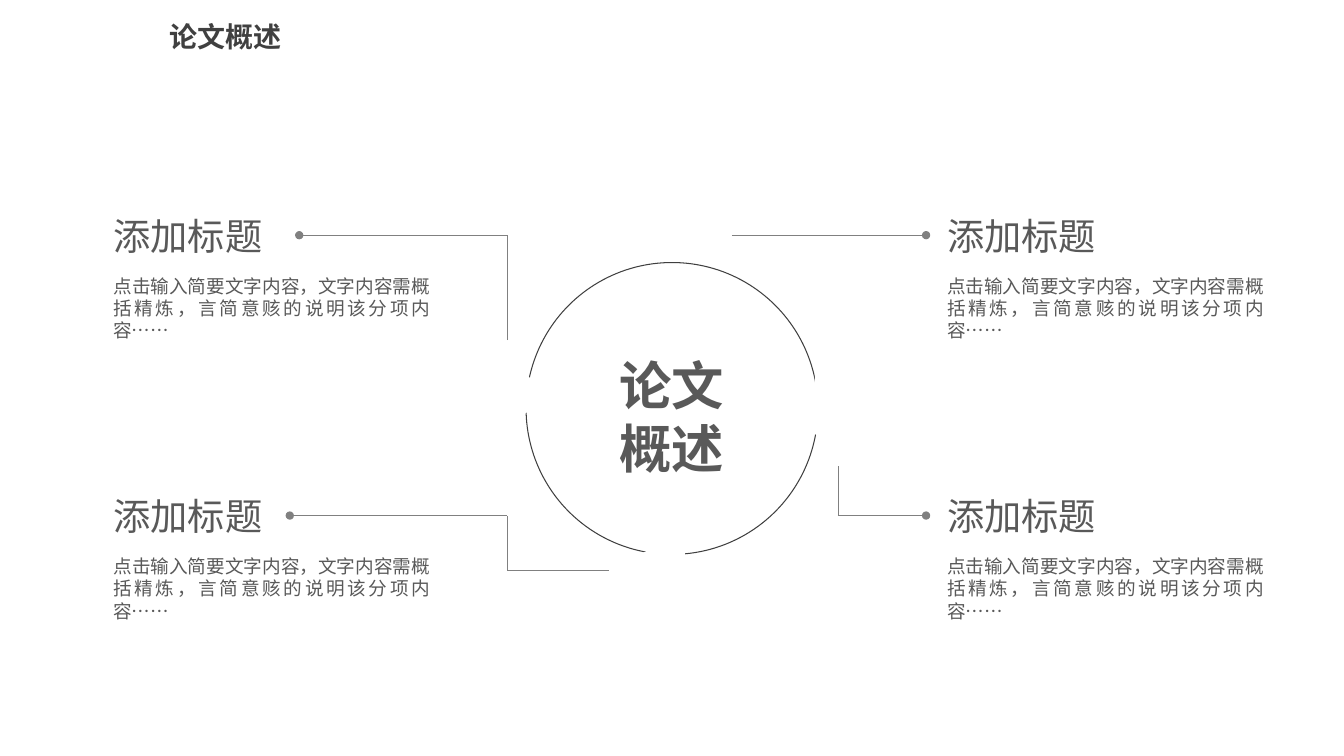
from dataclasses import dataclass

from lxml import etree
from pptx import Presentation
from pptx import util as u
from pptx.dml.color import RGBColor
from pptx.enum import shapes, text
from pptx.oxml.ns import qn

PX = 9525


@dataclass(frozen=True)
class Theme:
    font: str = "Noto Sans CJK SC"
    title_color: str = "404040"
    text_color: str = "595959"
    circle_color: str = "3F3F3F"
    line_color: str = "808080"
    background: str = "FFFFFF"
    title_size: float = 20
    center_size: float = 37.4
    heading_size: float = 26.6
    body_size: float = 13.3
    line_height: float = 1.2
    top_offset: float = 0.09


@dataclass(frozen=True)
class Label:
    content: str
    left: int
    top: int
    width: int
    height: int
    size: float
    color: str
    bold: bool = False
    align: text.PP_ALIGN = text.PP_ALIGN.LEFT
    inset_x: int = 0
    inset_y: int = 0


@dataclass(frozen=True)
class Leader:
    x1: int
    y1: int
    x2: int
    y2: int
    dot: bool = False


THEME = Theme()
HEADING = "添加标题"
BODY = "点击输入简要文字内容，文字内容需概括精炼，言简意赅的说明该分项内容……"
COLUMNS = (108, 902)
ROWS = (200, 467)
TOP_LINE, BOTTOM_LINE = (row + 24 for row in ROWS)
LEFT_BEND, RIGHT_BEND, LOW_LINE = 483, 798, 543
DOT_RIGHT = 882

LABELS = [
    Label("论文概述", 151, 11, 185, 42, THEME.title_size, THEME.title_color,
          bold=True, inset_x=10, inset_y=5),
    Label("论文概述", 588, 332, 103, 111, THEME.center_size, THEME.text_color,
          bold=True, align=text.PP_ALIGN.CENTER),
]
for column in COLUMNS:
    for row in ROWS:
        LABELS.append(Label(HEADING, column, row, 209, 44,
                            THEME.heading_size, THEME.text_color))
        LABELS.append(Label(BODY, column, row + 60, 302, 64,
                            THEME.body_size, THEME.text_color,
                            align=text.PP_ALIGN.JUSTIFY))

LEADERS = [
    Leader(697, TOP_LINE, DOT_RIGHT, TOP_LINE, dot=True),
    Leader(RIGHT_BEND, BOTTOM_LINE, DOT_RIGHT, BOTTOM_LINE, dot=True),
    Leader(RIGHT_BEND, BOTTOM_LINE, RIGHT_BEND, 444),
    Leader(LEFT_BEND, TOP_LINE, 285, TOP_LINE, dot=True),
    Leader(LEFT_BEND, 324, LEFT_BEND, TOP_LINE),
    Leader(LEFT_BEND, BOTTOM_LINE, 276, BOTTOM_LINE, dot=True),
    Leader(LEFT_BEND, LOW_LINE, LEFT_BEND, BOTTOM_LINE),
    Leader(580, LOW_LINE, LEFT_BEND, LOW_LINE),
]

TABLET = [[(778, 354), (815, 354), (817, 356), (817, 364), (825, 382),
           (817, 399), (817, 413), (815, 415), (778, 415), (776, 413), (776, 356)]]
SPEECH_BUBBLES = [
    [(618, 524), (646, 524), (652, 526), (654, 532), (654, 545), (652, 551),
     (646, 553), (625, 553), (619, 559), (619, 553), (613, 551), (611, 545),
     (611, 532), (613, 526)],
    [(657, 531), (662, 531), (668, 534), (670, 539), (670, 552), (668, 558),
     (662, 560), (662, 565), (655, 560), (634, 560), (629, 557), (647, 557),
     (654, 554), (657, 547)],
]
HEAD = [[(495, 413), (496, 397), (507, 389), (512, 375), (508, 362), (493, 352),
         (478, 352), (464, 359), (457, 366), (462, 368), (460, 376), (458, 389),
         (461, 390), (460, 399), (464, 401), (472, 402), (471, 413)]]


def px(value: int) -> u.Emu:
    return u.Emu(value * PX)


def rgb(value: str) -> RGBColor:
    return RGBColor.from_string(value)


def draw_label(slide, label: Label) -> None:
    shape = slide.shapes.add_textbox(px(label.left), px(label.top),
                                     px(label.width), px(label.height))
    frame = shape.text_frame
    frame.word_wrap = True
    frame.margin_left = frame.margin_right = px(label.inset_x)
    frame.margin_top = px(label.inset_y) + u.Pt(label.size * THEME.top_offset)
    frame.margin_bottom = px(label.inset_y)
    frame.text = label.content
    paragraph = frame.paragraphs[0]
    paragraph.alignment = label.align
    paragraph.line_spacing = u.Pt(label.size * THEME.line_height)
    font = paragraph.runs[0].font
    font.size = u.Pt(label.size)
    font.bold = label.bold
    font.color.rgb = rgb(label.color)
    font.name = THEME.font
    properties = paragraph.runs[0]._r.get_or_add_rPr()
    properties.set("lang", "zh-CN")
    etree.SubElement(properties, qn("a:ea"), typeface=THEME.font)


def draw_leader(slide, leader: Leader) -> None:
    connector = slide.shapes.add_connector(
        shapes.MSO_CONNECTOR.STRAIGHT,
        px(leader.x1), px(leader.y1), px(leader.x2), px(leader.y2))
    connector.line.color.rgb = rgb(THEME.line_color)
    connector.line.width = u.Pt(0.5)
    if leader.dot:
        etree.SubElement(connector.line._get_or_add_ln(), qn("a:tailEnd"), type="oval")
    etree.SubElement(connector._element.spPr, qn("a:effectLst"))


def draw_circle(slide) -> None:
    circle = slide.shapes.add_shape(shapes.MSO_SHAPE.OVAL,
                                    px(501), px(250), px(278), px(278))
    circle.shadow.inherit = False
    circle.fill.background()
    circle.line.color.rgb = rgb(THEME.circle_color)
    circle.line.width = u.Pt(0.75)


def draw_icon(slide, contours: list[list[tuple[int, int]]]) -> None:
    builder = slide.shapes.build_freeform(*contours[0][0], scale=PX)
    for index, contour in enumerate(contours):
        if index:
            builder.move_to(*contour[0])
        builder.add_line_segments(contour[1:], close=True)
    icon = builder.convert_to_shape()
    icon.shadow.inherit = False
    icon.fill.solid()
    icon.fill.fore_color.rgb = rgb(THEME.background)
    icon.line.fill.background()


def main() -> None:
    presentation = Presentation()
    presentation.slide_width, presentation.slide_height = px(1280), px(720)
    slide = presentation.slides.add_slide(presentation.slide_layouts[6])
    draw_circle(slide)
    for label in LABELS:
        draw_label(slide, label)
    for leader in LEADERS:
        draw_leader(slide, leader)
    for contours in (TABLET, SPEECH_BUBBLES, HEAD):
        draw_icon(slide, contours)
    presentation.save("out.pptx")


if __name__ == "__main__":
    main()
